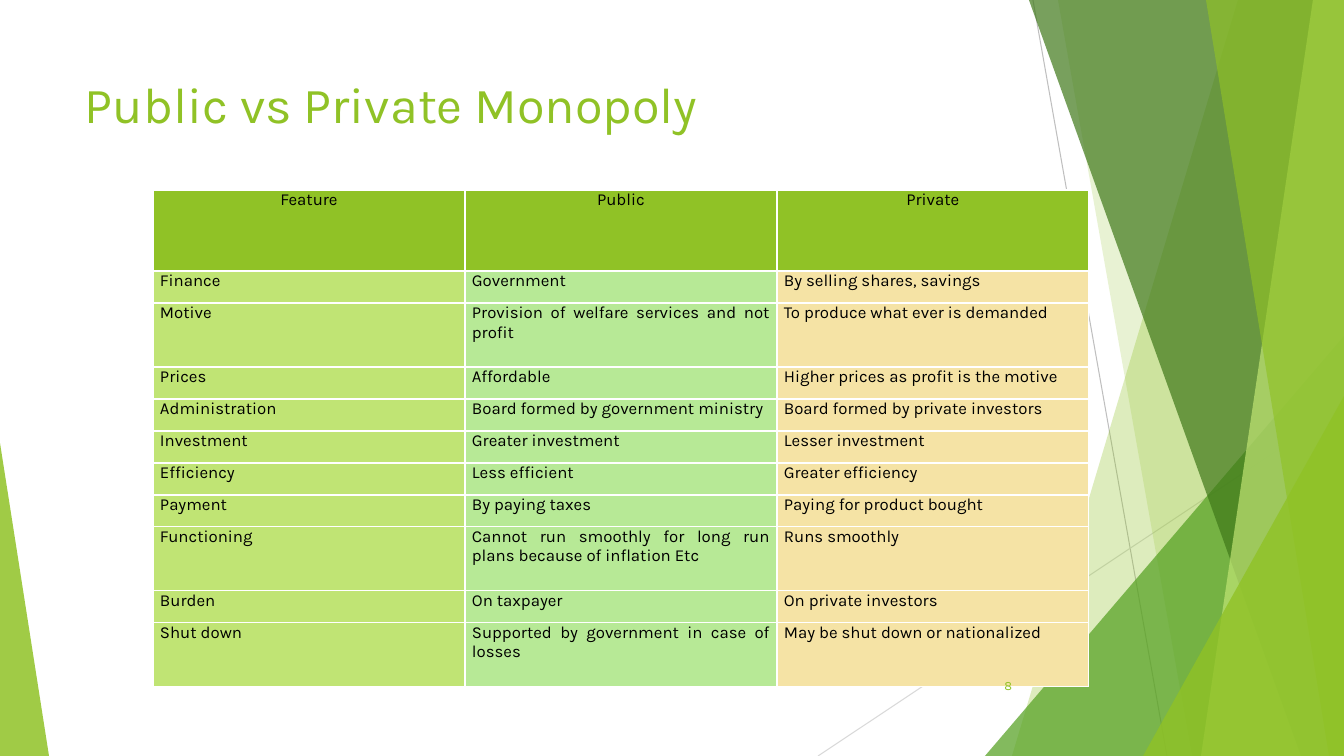
from dataclasses import dataclass

from pptx import Presentation
from pptx.dml.color import RGBColor
from pptx.enum.shapes import MSO_CONNECTOR, MSO_SHAPE
from pptx.enum.text import MSO_ANCHOR, PP_ALIGN
from pptx.oxml.ns import qn
from pptx.util import Emu, Pt
from lxml.etree import SubElement

WIDTH, HEIGHT = 1344, 756
EMU_PER_PX = 12192000 / WIDTH


@dataclass(frozen=True)
class Theme:
    font: str = "Karla"
    title_size: int = 36
    table_size: int = 12
    number_size: int = 9
    accent: str = "90C226"
    green: str = "54A021"
    dark_green: str = "3F7819"
    lime: str = "C0E474"
    mint: str = "B7E996"
    sand: str = "F5E3A5"
    text: str = "000000"
    border: str = "FFFFFF"
    steep_line: str = "BFBFBF"
    flat_line: str = "D9D9D9"


THEME = Theme()

HEADER = ("Feature", "Public", "Private")
FEATURES = [
    ("Finance", "Government", "By selling shares, savings"),
    ("Motive", "Provision of welfare services and not profit", "To produce what ever is demanded"),
    ("Prices", "Affordable", "Higher prices as profit is the motive"),
    ("Administration", "Board formed by government ministry", "Board formed by private investors"),
    ("Investment", "Greater investment", "Lesser investment"),
    ("Efficiency", "Less efficient", "Greater efficiency"),
    ("Payment", "By paying taxes", "Paying for product bought"),
    ("Functioning", "Cannot run smoothly for long run plans because of inflation Etc", "Runs smoothly"),
    ("Burden", "On taxpayer", "On private investors"),
    ("Shut down", "Supported by government in case of losses", "May be shut down or nationalized"),
]
TALL_FEATURES = {"Motive", "Functioning", "Shut down"}
HEADER_HEIGHT, ROW_HEIGHT, TALL_HEIGHT = 81, 32, 64
COLUMN_WIDTH = 312


def px(length):
    return Emu(round(length * EMU_PER_PX))


def set_all(target, values):
    for name, value in values.items():
        setattr(target, name, value)


def write(text_frame, text, size, color, alignment):
    paragraph = text_frame.paragraphs[0]
    paragraph.alignment = alignment
    run = paragraph.add_run()
    run.text = text
    set_all(run.font, {"name": THEME.font, "size": Pt(size), "bold": False})
    run.font.color.rgb = RGBColor.from_string(color)


def add_text(slide, box, text, size, alignment, anchor):
    text_frame = slide.shapes.add_textbox(*map(px, box)).text_frame
    set_all(text_frame, {"word_wrap": True, "vertical_anchor": anchor})
    write(text_frame, text, size, THEME.accent, alignment)


def add_line(slide, start, end, color):
    connector = slide.shapes.add_connector(MSO_CONNECTOR.STRAIGHT, *map(px, start + end))
    connector.line.width = Pt(0.75)
    connector.line.color.rgb = RGBColor.from_string(color)
    SubElement(connector._element.spPr, qn("a:effectLst"))


def paint(shape, color, opacity):
    shape.shadow.inherit = False
    shape.fill.solid()
    shape.fill.fore_color.rgb = RGBColor.from_string(color)
    shape.line.fill.background()
    color_element = shape._element.spPr.find(qn("a:solidFill"))[0]
    SubElement(color_element, qn("a:alpha"), val=str(opacity * 1000))


def add_band(slide, top_x, bottom_x, color, opacity):
    builder = slide.shapes.build_freeform(px(top_x), px(0))
    corners = [(WIDTH, 0), (WIDTH, HEIGHT), (bottom_x, HEIGHT)]
    builder.add_line_segments([(px(x), px(y)) for x, y in corners])
    paint(builder.convert_to_shape(), color, opacity)


def add_triangle(slide, left, top, width, apex, color, opacity):
    box = (left, top, width, HEIGHT - top)
    triangle = slide.shapes.add_shape(MSO_SHAPE.ISOSCELES_TRIANGLE, *map(px, box))
    triangle.adjustments[0] = apex
    paint(triangle, color, opacity)


def add_borders(cell):
    properties = cell._tc.get_or_add_tcPr()
    for index, side in enumerate(("lnL", "lnR", "lnT", "lnB")):
        line = SubElement(properties, qn(f"a:{side}"), w=str(Pt(1)))
        fill = SubElement(line, qn("a:solidFill"))
        SubElement(fill, qn("a:srgbClr"), val=THEME.border)
        properties.insert(index, line)


def fill_cell(cell, text, color, alignment):
    set_all(cell, {"margin_left": px(7), "margin_right": px(7), "margin_top": 0, "margin_bottom": 0})
    cell.fill.solid()
    cell.fill.fore_color.rgb = RGBColor.from_string(color)
    add_borders(cell)
    write(cell.text_frame, text, THEME.table_size, THEME.text, alignment)


def add_comparison(slide, left, top):
    rows = [HEADER] + FEATURES
    heights = [HEADER_HEIGHT] + [
        TALL_HEIGHT if feature[0] in TALL_FEATURES else ROW_HEIGHT for feature in FEATURES
    ]
    box = (left, top, COLUMN_WIDTH * len(HEADER), sum(heights))
    table = slide.shapes.add_table(len(rows), len(HEADER), *map(px, box)).table
    set_all(table, {"first_row": True, "horz_banding": False})
    for column in table.columns:
        column.width = px(COLUMN_WIDTH)
    for row_index, (texts, height) in enumerate(zip(rows, heights)):
        table.rows[row_index].height = px(height)
        is_header = row_index == 0
        colors = [THEME.accent] * 3 if is_header else [THEME.lime, THEME.mint, THEME.sand]
        alignment = PP_ALIGN.CENTER if is_header else PP_ALIGN.JUSTIFY
        for column_index, (text, color) in enumerate(zip(texts, colors)):
            fill_cell(table.cell(row_index, column_index), text, color, alignment)


def add_backdrop(slide):
    add_line(slide, (1033, 0), (1167, HEIGHT), THEME.steep_line)
    add_line(slide, (WIDTH, 406), (818, HEIGHT), THEME.flat_line)
    add_band(slide, 1238, 1012, THEME.accent, 30)
    add_band(slide, 1058, 1192, THEME.accent, 20)
    add_triangle(slide, 985, 336, 359, 1, THEME.green, 72)
    add_band(slide, 1029, 1301, THEME.dark_green, 70)
    add_band(slide, 1313, 1201, THEME.lime, 70)
    add_band(slide, 1206, 1329, THEME.accent, 65)
    add_triangle(slide, 1143, 396, 201, 1, THEME.accent, 80)
    add_triangle(slide, 0, 443, 49, 0, THEME.accent, 85)


def main():
    presentation = Presentation()
    set_all(presentation, {"slide_width": px(WIDTH), "slide_height": px(HEIGHT)})
    slide = presentation.slides.add_slide(presentation.slide_layouts[6])
    add_backdrop(slide)
    add_text(slide, (75, 68, 947, 145), "Public vs Private Monopoly",
             THEME.title_size, PP_ALIGN.LEFT, MSO_ANCHOR.TOP)
    add_comparison(slide, 153, 190)
    add_text(slide, (947, 666, 75, 40), "8", THEME.number_size, PP_ALIGN.RIGHT, MSO_ANCHOR.MIDDLE)
    presentation.save("out.pptx")


if __name__ == "__main__":
    main()
